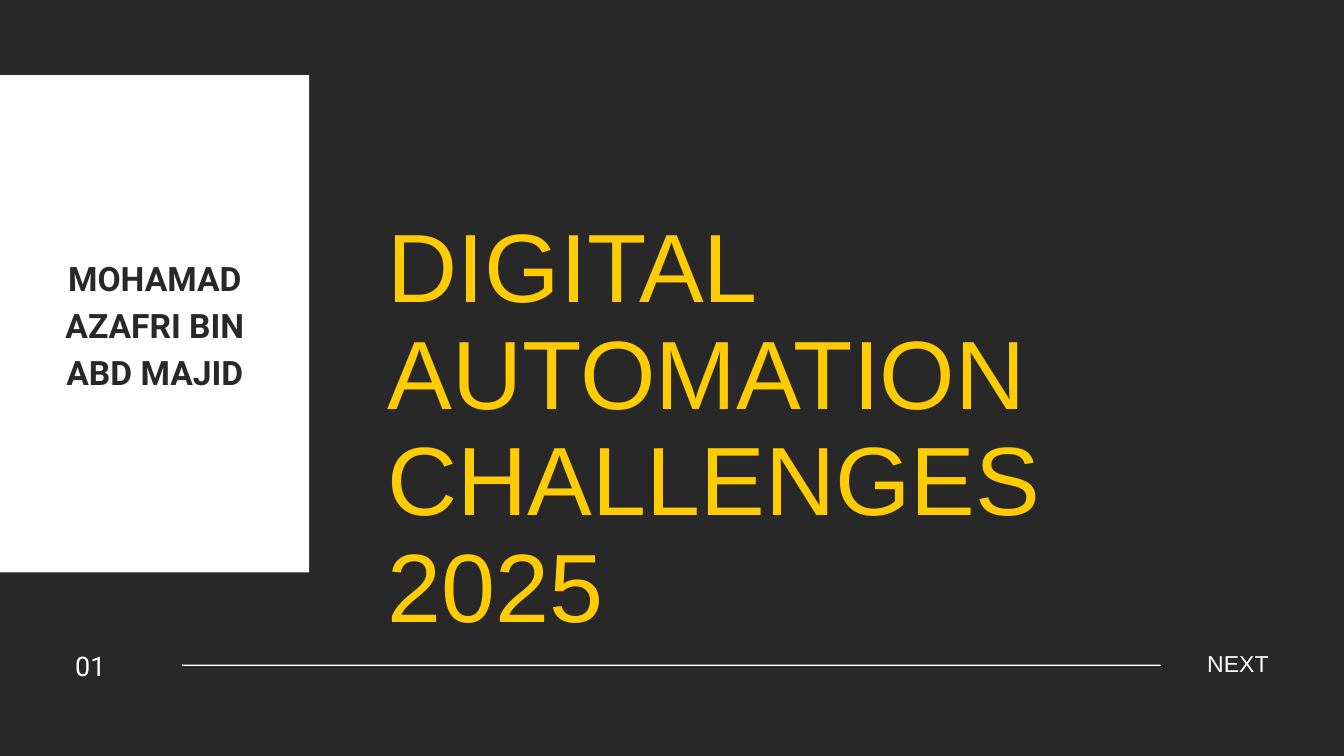
from dataclasses import dataclass

from pptx import Presentation
from pptx import util as u
from pptx.dml.color import RGBColor
from pptx.enum import shapes, text

PX = 9144  # EMU per px, 100 px to the inch
LEFT, CENTER, RIGHT = text.PP_ALIGN.LEFT, text.PP_ALIGN.CENTER, text.PP_ALIGN.RIGHT


@dataclass(frozen=True)
class Style:
    font: str
    size: float
    leading: float
    color: str
    bold: bool = False


class Theme:
    dark = "292828"
    white = "FFFFFF"
    yellow = "FFCB01"
    title = Style("Arial", 104, 114.4, yellow)
    author = Style("Roboto", 36, 50.4, dark, True)
    number = Style("Roboto", 28.9, 37.5, white)
    next_label = Style("Arial", 24.7, 27.2, white)


def px(*lengths):
    return [u.Emu(n * PX) for n in lengths]


def set_background(s, color):
    fill = s.background.fill
    fill.solid()
    fill.fore_color.rgb = RGBColor.from_string(color)


def add_block(s, box, color):
    sp = s.shapes.add_shape(shapes.MSO_SHAPE.RECTANGLE, *px(*box))
    sp.shadow.inherit = False
    sp.fill.solid()
    sp.fill.fore_color.rgb = RGBColor.from_string(color)
    sp.line.fill.background()


def add_text(s, box, words, style, align=LEFT):
    """Add a wrapping text box without insets, with exact line spacing."""
    tf = s.shapes.add_textbox(*px(*box)).text_frame
    tf.word_wrap = True
    tf.auto_size = text.MSO_AUTO_SIZE.SHAPE_TO_FIT_TEXT
    tf.margin_left = tf.margin_top = tf.margin_right = tf.margin_bottom = 0
    tf.text = words
    p = tf.paragraphs[0]
    p.alignment = align
    p.line_spacing = u.Pt(style.leading)
    r = p.runs[0]
    r.font.name = style.font
    r.font.size = u.Pt(style.size)
    r.font.bold = style.bold
    r.font.color.rgb = RGBColor.from_string(style.color)


def add_footer(s):
    add_text(s, (112, 962, 60, 51), "01", Theme.number)
    add_text(s, (1774, 970, 114, 38), "NEXT", Theme.next_label, RIGHT)
    add_block(s, (271, 989, 1457, 2), Theme.white)


def main():
    prs = Presentation()
    prs.slide_width, prs.slide_height = px(2000, 1125)
    s = prs.slides.add_slide(prs.slide_layouts[6])
    set_background(s, Theme.dark)
    add_block(s, (0, 112, 460, 740), Theme.white)
    add_text(s, (577, 320, 1311, 481), "DIGITAL AUTOMATION CHALLENGES 2025", Theme.title)
    add_footer(s)
    add_text(s, (71, 374, 319, 208), "MOHAMAD AZAFRI BIN ABD MAJID", Theme.author, CENTER)
    prs.save("out.pptx")


if __name__ == "__main__":
    main()
